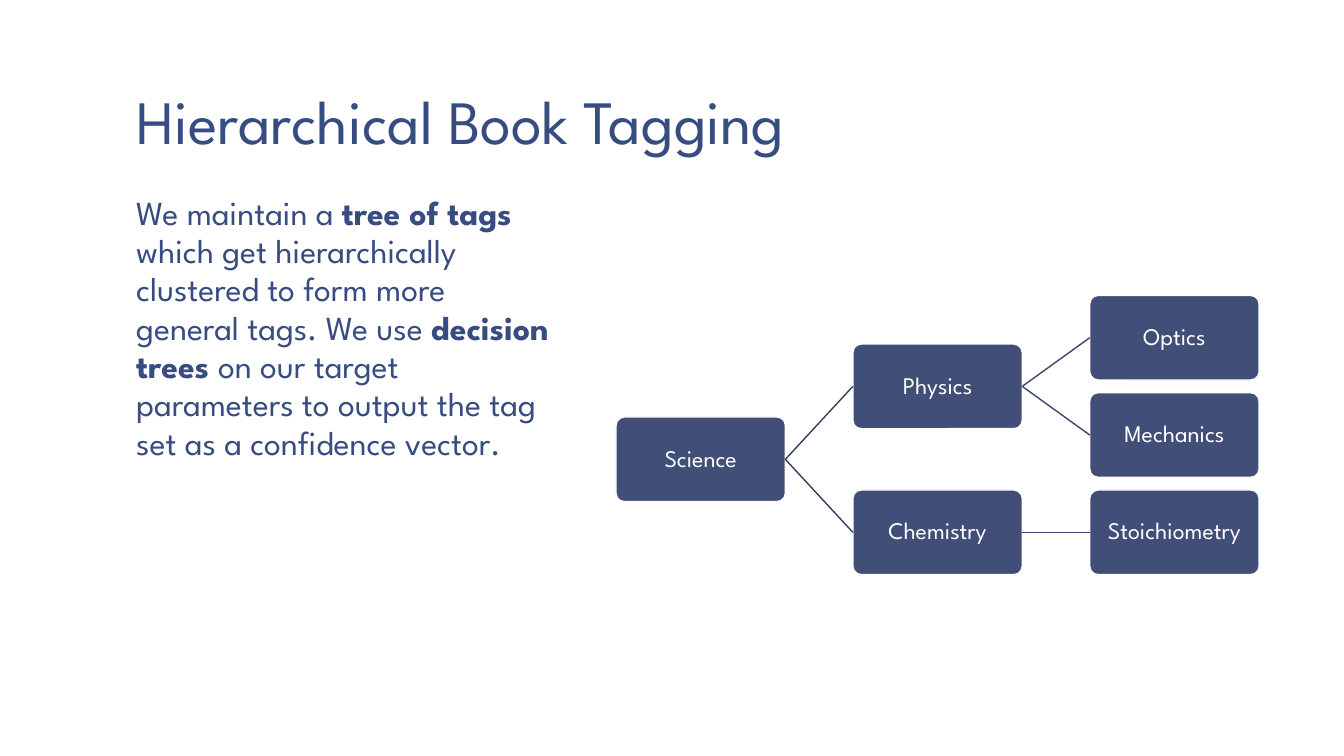
from pptx import Presentation
from pptx.dml.color import RGBColor
from pptx.enum.shapes import MSO_CONNECTOR, MSO_SHAPE
from pptx.enum.text import MSO_ANCHOR, PP_ALIGN
from pptx.oxml.ns import qn
from pptx.util import Pt
from lxml.etree import SubElement

FONT = "League Spartan"
INK = "374C81"
NODE_FILL = "414E77"
WHITE = "FFFFFF"
BRANCH_COLORS = ["343E5F", "3B476C"]  # one per tree level

NODE_WIDTH, NODE_HEIGHT = 121, 60.5
COLUMN_STEP, ROW_STEP = 169.2, 69.5

TAG_TREE = ("Science", [
    ("Physics", [("Optics", []), ("Mechanics", [])]),
    ("Chemistry", [("Stoichiometry", [])]),
])
EXPLANATION = [
    ("We maintain a ", False),
    ("tree of tags ", True),
    ("which get hierarchically clustered to form more general tags. We use ", False),
    ("decision trees ", True),
    ("on our target parameters to output the tag set as a confidence vector.", False),
]


def rgb(hex_color):
    return RGBColor.from_string(hex_color)


def set_font(paragraph, size, color):
    paragraph.font.name = FONT
    paragraph.font.size = Pt(size)
    paragraph.font.color.rgb = rgb(color)


def set_margins(frame, horizontal, vertical):
    frame.margin_left = frame.margin_right = Pt(horizontal)
    frame.margin_top = frame.margin_bottom = Pt(vertical)


def add_text(slide, left, top, width, height, runs, size, line_spacing, anchor):
    """Add a wrapped text box of (text, bold) runs and return its paragraph."""
    frame = slide.shapes.add_textbox(Pt(left), Pt(top), Pt(width), Pt(height)).text_frame
    frame.word_wrap = True
    frame.vertical_anchor = anchor
    set_margins(frame, 9.36, 5.04)
    paragraph = frame.paragraphs[0]
    paragraph.line_spacing = line_spacing
    set_font(paragraph, size, INK)
    for text, bold in runs:
        run = paragraph.add_run()
        run.text = text
        if bold:
            run.font.bold = True
    return paragraph


def add_title(slide, left, top, width, height):
    add_text(slide, left, top, width, height, [("Hierarchical Book Tagging", False)],
             44, 0.85, MSO_ANCHOR.BOTTOM)


def add_explanation(slide, left, top, width, height):
    paragraph = add_text(slide, left, top, width, height, EXPLANATION,
                         24, 0.95, MSO_ANCHOR.TOP)
    paragraph.space_before = Pt(18.7)


def add_node(slide, left, top, tag):
    node = slide.shapes.add_shape(MSO_SHAPE.ROUNDED_RECTANGLE, Pt(left), Pt(top),
                                  Pt(NODE_WIDTH), Pt(NODE_HEIGHT))
    node.adjustments[0] = 0.1
    node.shadow.inherit = False
    node.fill.solid()
    node.fill.fore_color.rgb = rgb(NODE_FILL)
    node.line.color.rgb = rgb(WHITE)
    node.line.width = Pt(1)
    frame = node.text_frame
    frame.word_wrap = True
    frame.vertical_anchor = MSO_ANCHOR.MIDDLE
    set_margins(frame, 0.75, 0.75)
    paragraph = frame.paragraphs[0]
    paragraph.text = tag
    paragraph.alignment = PP_ALIGN.CENTER
    paragraph.line_spacing = 0.9
    set_font(paragraph, 17, WHITE)
    return node


def add_branch(slide, parent, child, color):
    branch = slide.shapes.add_connector(MSO_CONNECTOR.STRAIGHT, 0, 0, 0, 0)
    branch.begin_connect(parent, 3)  # right side
    branch.end_connect(child, 1)  # left side
    branch.line.color.rgb = rgb(color)
    branch.line.width = Pt(1)
    SubElement(branch._element.spPr, qn("a:effectLst"))


def add_tag_tree(slide, left, top, tree, level=0, first_row=0):
    """Draw a tree centred on its leaves; return its root, row and next free row."""
    tag, subtrees = tree
    next_row = first_row
    children, rows = [], []
    for subtree in subtrees:
        child, row, next_row = add_tag_tree(slide, left, top, subtree, level + 1, next_row)
        children.append(child)
        rows.append(row)
    if children:
        row = sum(rows) / len(rows)
    else:
        row, next_row = first_row, first_row + 1
    node = add_node(slide, left + level * COLUMN_STEP, top + row * ROW_STEP, tag)
    for child in children:
        add_branch(slide, node, child, BRANCH_COLORS[level])
    return node, row, next_row


def main():
    presentation = Presentation()
    presentation.slide_width, presentation.slide_height = Pt(960), Pt(540)
    slide = presentation.slides.add_slide(presentation.slide_layouts[6])
    slide.background.fill.solid()
    slide.background.fill.fore_color.rgb = rgb(WHITE)
    add_title(slide, 88, 37.4, 800, 80)
    add_explanation(slide, 88, 134, 318, 352)
    add_tag_tree(slide, 440, 211, TAG_TREE)
    presentation.save("out.pptx")


if __name__ == "__main__":
    main()
